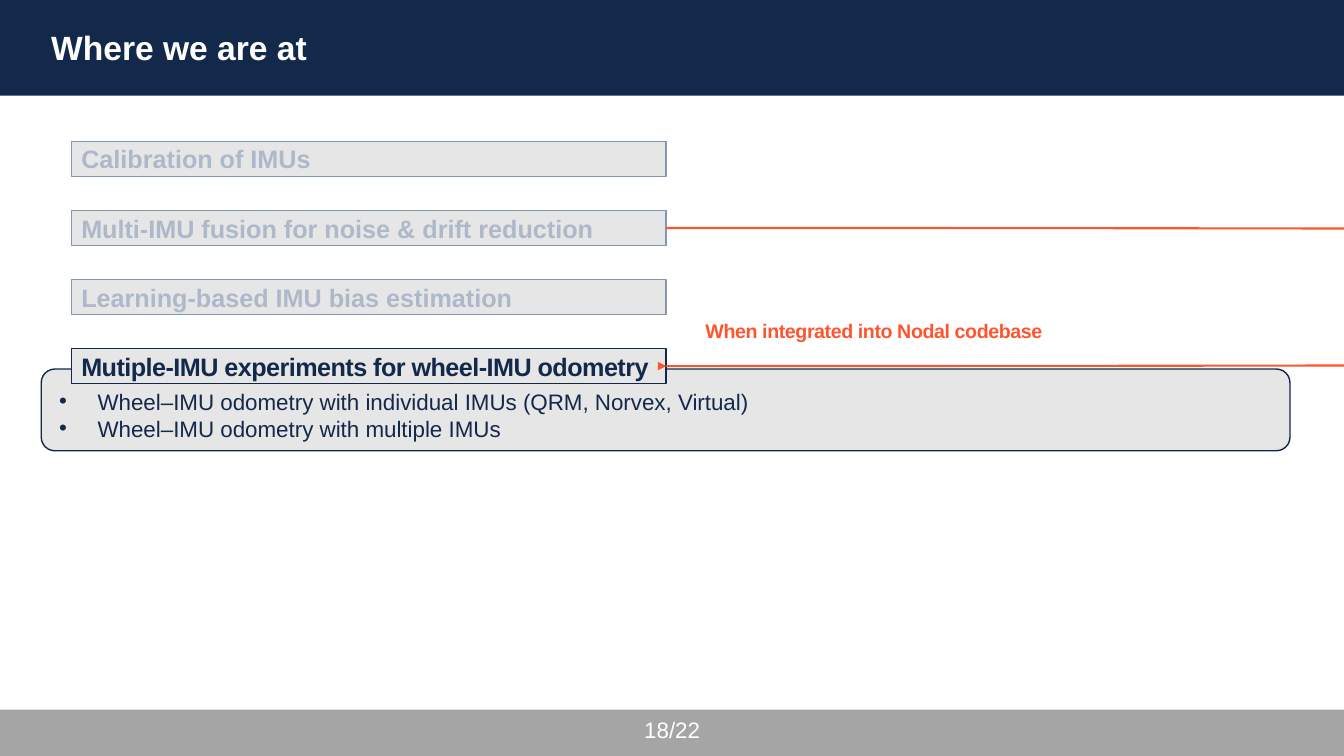
from dataclasses import dataclass

from pptx import Presentation
from pptx.dml.color import RGBColor
from pptx.enum.shapes import MSO_CONNECTOR, MSO_SHAPE
from pptx.enum.text import MSO_ANCHOR, MSO_AUTO_SIZE, PP_ALIGN
from pptx.oxml.ns import qn
from pptx.oxml.xmlchemy import OxmlElement
from pptx.shapes.autoshape import Shape
from pptx.slide import Slide
from pptx.util import Cm, Emu, Pt

SLIDE_WIDTH, SLIDE_HEIGHT = 33.87, 19.05
NAVY, OUTLINE_NAVY = "13294B", "15264B"
PALE_GREY, FOOTER_GREY = "E7E6E6", "A5A5A5"
FADED_TEXT, FADED_OUTLINE = "ADB9CA", "8497B0"
WHITE, ORANGE = "FFFFFF", "FF552E"

TOPIC_LEFT, TOPIC_TOP, TOPIC_PITCH = 1.8, 3.56, 1.74
TOPIC_WIDTH, TOPIC_HEIGHT = 14.99, 0.89


@dataclass
class Box:
    """Position and size in centimetres."""
    left: float
    top: float
    width: float
    height: float

    def lengths(self) -> tuple[Emu, ...]:
        return Cm(self.left), Cm(self.top), Cm(self.width), Cm(self.height)


@dataclass
class TextStyle:
    size: int
    color: str
    bold: bool = False
    spacing: float = 0


@dataclass
class Topic:
    title: str
    style: TextStyle
    outline: str


FADED = TextStyle(18, FADED_TEXT, bold=True)
CURRENT = TextStyle(18, NAVY, bold=True, spacing=-0.4)
TOPICS = [
    Topic("Calibration of IMUs", FADED, FADED_OUTLINE),
    Topic("Multi-IMU fusion for noise & drift reduction", FADED, FADED_OUTLINE),
    Topic("Learning-based IMU bias estimation", FADED, FADED_OUTLINE),
    Topic("Mutiple-IMU experiments for wheel-IMU odometry", CURRENT, OUTLINE_NAVY),
]
DETAILS = [
    "Wheel–IMU odometry with individual IMUs (QRM, Norvex, Virtual)",
    "Wheel–IMU odometry with multiple IMUs",
]


def rgb(color: str) -> RGBColor:
    return RGBColor.from_string(color)


def write_text(shape: Shape, text: str, style: TextStyle) -> None:
    text_frame = shape.text_frame
    text_frame.text = text
    for paragraph in text_frame.paragraphs:
        paragraph.alignment = PP_ALIGN.LEFT
        for run in paragraph.runs:
            run.font.name = "Arial"
            run.font.size = Pt(style.size)
            run.font.bold = style.bold
            run.font.color.rgb = rgb(style.color)
            if style.spacing:
                run.font._element.set("spc", str(round(style.spacing * 100)))


def add_panel(slide: Slide, kind: MSO_SHAPE, box: Box, fill: str,
              outline: str | None = None) -> Shape:
    shape = slide.shapes.add_shape(kind, *box.lengths())
    shape.shadow.inherit = False
    shape.fill.solid()
    shape.fill.fore_color.rgb = rgb(fill)
    if outline:
        shape.line.color.rgb = rgb(outline)
        shape.line.width = Pt(1)
    else:
        shape.line.fill.background()
    return shape


def add_text(slide: Slide, box: Box, text: str, style: TextStyle,
             wrap: bool = True) -> Shape:
    shape = slide.shapes.add_textbox(*box.lengths())
    shape.text_frame.word_wrap = wrap
    write_text(shape, text, style)
    return shape


def add_topic(slide: Slide, index: int, topic: Topic) -> None:
    box = Box(TOPIC_LEFT, TOPIC_TOP + index * TOPIC_PITCH, TOPIC_WIDTH, TOPIC_HEIGHT)
    shape = add_panel(slide, MSO_SHAPE.RECTANGLE, box, PALE_GREY, topic.outline)
    text_frame = shape.text_frame
    text_frame.word_wrap = True
    text_frame.vertical_anchor = MSO_ANCHOR.MIDDLE
    text_frame.margin_top = text_frame.margin_bottom = Cm(0.25)
    write_text(shape, topic.title, topic.style)


def add_bullets(shape: Shape) -> None:
    for paragraph in shape.text_frame.paragraphs:
        properties = paragraph._p.get_or_add_pPr()
        properties.set("marL", str(Cm(1.17)))
        properties.set("indent", str(Cm(-0.97)))
        bullet_color = OxmlElement("a:buClr")
        color = OxmlElement("a:srgbClr")
        color.set("val", NAVY)
        bullet_color.append(color)
        bullet_font = OxmlElement("a:buFont")
        bullet_font.set("typeface", "Arial")
        bullet = OxmlElement("a:buChar")
        bullet.set("char", "•")
        properties.extend([bullet_color, bullet_font, bullet])


def add_curved_arrow(slide: Slide, start_index: int, end_index: int) -> None:
    """Loop from the right side of one topic to the right side of another."""
    right = Cm(TOPIC_LEFT + TOPIC_WIDTH)
    start, end = (Cm(TOPIC_TOP + index * TOPIC_PITCH + TOPIC_HEIGHT / 2)
                  for index in (start_index, end_index))
    span = Emu(3)  # the bulge is a multiple of the width, so it cannot be zero
    connector = slide.shapes.add_connector(
        MSO_CONNECTOR.CURVE, right, start, right + span, end)
    connector.line.color.rgb = rgb(ORANGE)
    connector.line.width = Pt(1.5)
    arrowhead = OxmlElement("a:tailEnd")
    arrowhead.set("type", "triangle")
    connector.get_or_add_ln().append(arrowhead)
    properties = connector.element.spPr
    properties.append(OxmlElement("a:effectLst"))
    geometry = properties.find(qn("a:prstGeom"))
    bulge = OxmlElement("a:gd")
    bulge.set("name", "adj1")
    bulge.set("fmla", f"val {76201 * 100000}")
    geometry.get_or_add_avLst().append(bulge)


def main() -> None:
    presentation = Presentation()
    presentation.slide_width = Cm(SLIDE_WIDTH)
    presentation.slide_height = Cm(SLIDE_HEIGHT)
    slide = presentation.slides.add_slide(presentation.slide_layouts[6])

    add_panel(slide, MSO_SHAPE.RECTANGLE, Box(0, 17.88, SLIDE_WIDTH, 1.17), FOOTER_GREY)
    add_panel(slide, MSO_SHAPE.RECTANGLE, Box(0, 0, SLIDE_WIDTH, 2.41), NAVY)
    title = add_text(slide, Box(1.04, 0.56, 30.3, 1.27), "Where we are at",
                     TextStyle(24, WHITE, bold=True))
    title.text_frame.auto_size = MSO_AUTO_SIZE.SHAPE_TO_FIT_TEXT

    add_panel(slide, MSO_SHAPE.ROUNDED_RECTANGLE, Box(1.04, 9.3, 31.47, 2.06),
              PALE_GREY, OUTLINE_NAVY)
    for index, topic in enumerate(TOPICS):
        add_topic(slide, index, topic)
    details = add_text(slide, Box(1.04, 9.65, 31.47, 1.78), "\n".join(DETAILS),
                       TextStyle(16, NAVY))
    add_bullets(details)

    page_number = add_text(slide, Box(13.13, 17.88, 7.62, 1.02), "18/22",
                           TextStyle(16, WHITE))
    page_number.text_frame.vertical_anchor = MSO_ANCHOR.MIDDLE
    page_number.text_frame.paragraphs[0].alignment = PP_ALIGN.CENTER

    add_curved_arrow(slide, 1, 3)
    label = add_text(slide, Box(17.53, 7.92, 9.07, 0.86),
                     "When integrated into Nodal codebase",
                     TextStyle(14, ORANGE, bold=True, spacing=-0.3), wrap=False)
    label.text_frame.auto_size = MSO_AUTO_SIZE.SHAPE_TO_FIT_TEXT

    presentation.save("out.pptx")


if __name__ == "__main__":
    main()
